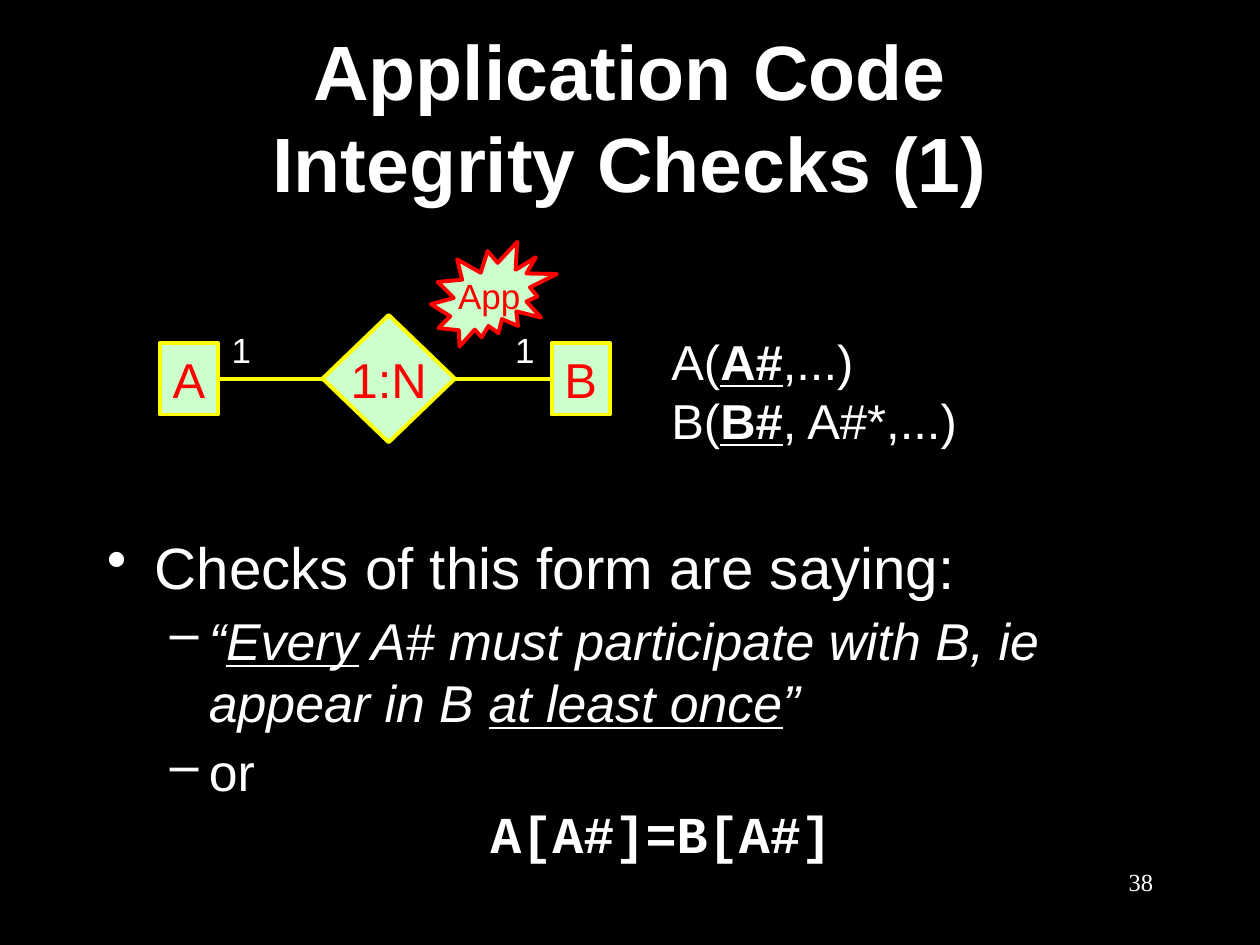
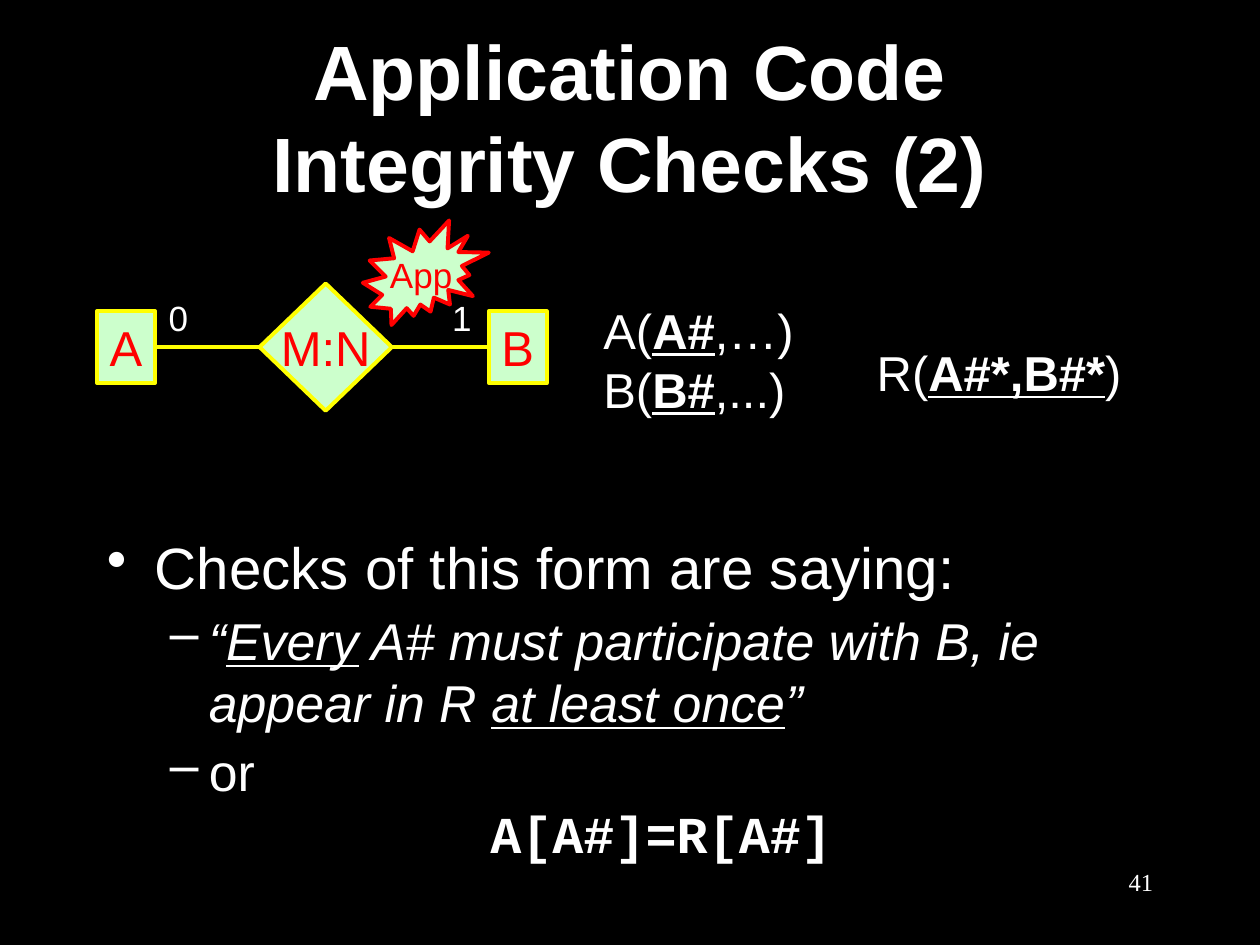
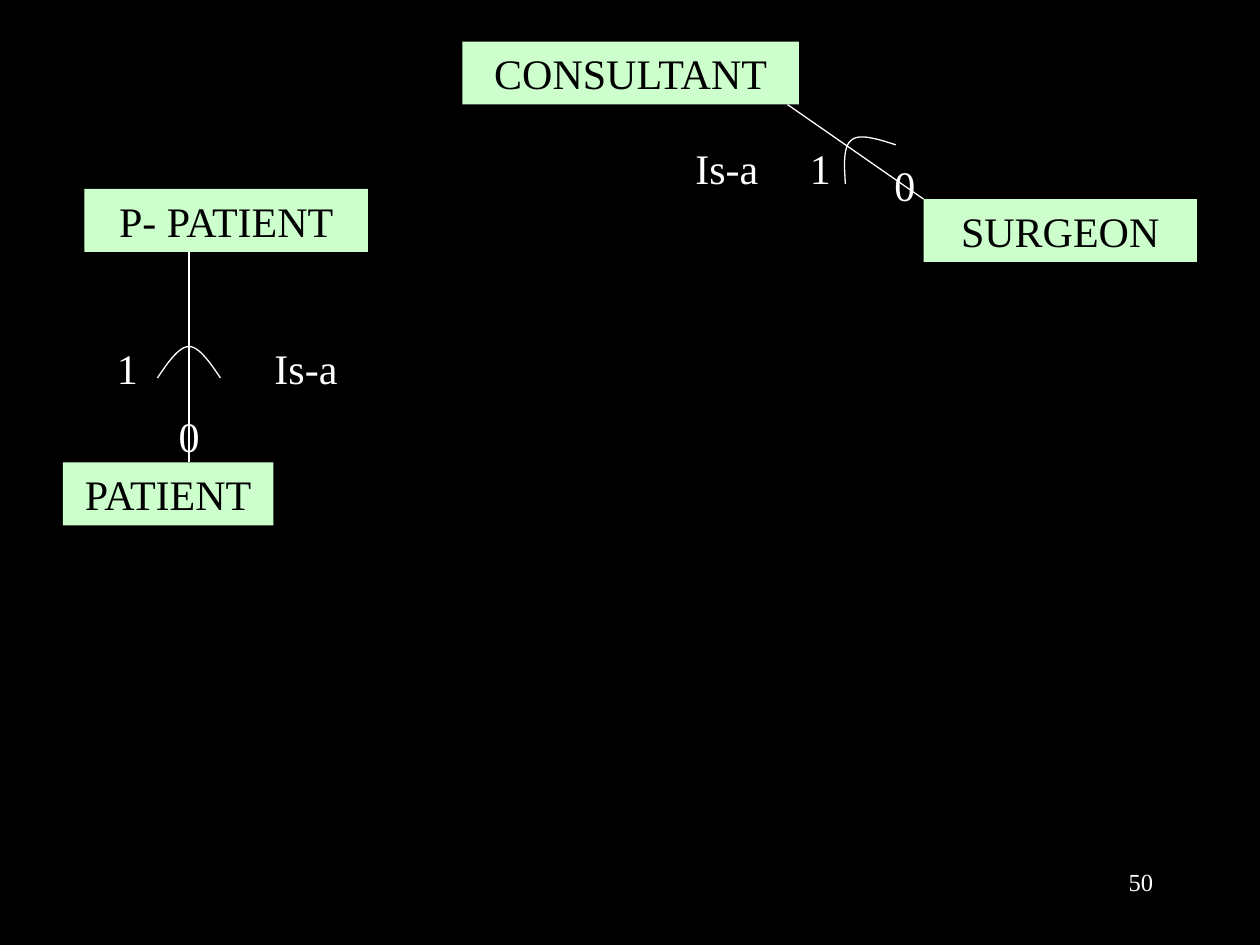
from pptx import Presentation
from pptx.dml.color import RGBColor
from pptx.enum.shapes import MSO_CONNECTOR, MSO_SHAPE
from pptx.enum.text import MSO_ANCHOR, PP_ALIGN
from pptx.oxml.ns import qn
from pptx.util import Inches, Pt
from lxml import etree

LEFT, MID, RIGHT = PP_ALIGN.LEFT, PP_ALIGN.CENTER, PP_ALIGN.RIGHT
TOP, CORE = MSO_ANCHOR.TOP, MSO_ANCHOR.MIDDLE
RECT, BOX = MSO_SHAPE.RECTANGLE, MSO_SHAPE.FLOWCHART_PROCESS
GEM, BURST = MSO_SHAPE.FLOWCHART_DECISION, MSO_SHAPE.EXPLOSION2
STRAIGHT = MSO_CONNECTOR.STRAIGHT
HUES = {"back": "000000", "text": "FFFFFF", "mint": "CCFFCC",
        "gold": "FFFF00", "red": "FF0000"}
INK = {name: RGBColor.from_string(code) for name, code in HUES.items()}
SANS, SERIF, MONO = "Arial", "Times New Roman", "Courier New"


def put(slide, at, lines, size, kind=None, hue="text", edge=None,
        font=SANS, align=MID, anchor=CORE, wrap=False):
    spot = [Inches(n) for n in at]
    if kind is None:
        shape = slide.shapes.add_textbox(*spot)
    else:
        shape = slide.shapes.add_shape(kind, *spot)
        shape.shadow.inherit = False
        shape.fill.solid()
        shape.fill.fore_color.rgb = INK["mint"]
        if edge:
            shape.line.color.rgb = INK[edge]
            shape.line.width = Pt(2.25)
        else:
            shape.line.fill.background()
    frame = shape.text_frame
    frame.word_wrap = wrap
    frame.vertical_anchor = anchor
    for i, line in enumerate(lines):
        para = frame.add_paragraph() if i else frame.paragraphs[0]
        first, *rest = line.split("_")
        para.text = first
        for part in rest:
            para.add_run().text = part
        para.alignment = align
        for j, run in enumerate(para.runs):
            run.font.name = font
            run.font.size = Pt(size)
            run.font.color.rgb = INK[hue]
            if rest and j % 2:
                run.font.bold = run.font.underline = True
    return shape


def link(slide, ends, hue, width):
    line = slide.shapes.add_connector(STRAIGHT, *[Inches(n) for n in ends])
    line.line.color.rgb = INK[hue]
    line.line.width = Pt(width)
    etree.SubElement(line._element.spPr, qn("a:effectLst"))
    return line


prs = Presentation()
prs.slide_width = Inches(10)
prs.slide_height = Inches(7.5)
slides = []
for number in ("38", "41", "50"):
    slide = prs.slides.add_slide(prs.slide_layouts[6])
    slide.background.fill.solid()
    slide.background.fill.fore_color.rgb = INK["back"]
    put(slide, (7.17, 6.83, 2.08, 0.5), [number], 14, font=SERIF,
        align=RIGHT, anchor=TOP, wrap=True)
    slides.append(slide)

checks = [
    ("1", "B", 1.27, 2.72, "1:N", "1", (3.42, 1.92),
     [((5.23, 2.58, 2.49, 1.04), ["A(_A#_,...)", "B(_B#_, A#*,...)"])]),
    ("2", "R", 0.77, 2.47, "M:N", "0", (2.88, 1.75),
     [((4.69, 2.33, 1.71, 1.04), ["A(_A#_,…)", "B(_B#_,...)"]),
      ((6.86, 2.67, 2.14, 0.57), ["R(_A#*,B#*_)"])]),
]
for slide, check in zip(slides, checks):
    order, table, x, y, ratio, least, burst, schemas = check
    title = put(slide, (0.75, 0.42, 8.5, 1),
                [f"Application Code\vIntegrity Checks ({order})"], 44, wrap=True)
    for run in title.text_frame.paragraphs[0].runs:
        run.font.bold = True

    body = put(slide, (0.75, 4.17, 8.5, 2.83), [
        "Checks of this form are saying:",
        f"“_Every_ A# must participate with B, ie appear in {table} _at least once_”",
        "or",
        f"A[A#]={table}[A#]",
    ], 29.6, align=LEFT, anchor=TOP, wrap=True)
    marks = ["•", "–", "–", None]
    for i, (para, mark) in enumerate(zip(body.text_frame.paragraphs, marks)):
        para.level = 1 if i else 0
        para.space_before = Pt(4)
        props = para._p.get_or_add_pPr()
        margin, indent = (0.81, -0.31) if i else (0.38, -0.38)
        props.set("marL", str(Inches(margin)))
        props.set("indent", str(Inches(indent)))
        if mark:
            tint = etree.SubElement(props, qn("a:buClr"))
            etree.SubElement(tint, qn("a:srgbClr"), val=HUES["text"])
            etree.SubElement(props, qn("a:buChar"), char=mark)
        else:
            para.alignment = MID
            para.line_spacing = 0.9
        for run in para.runs:
            run.font.bold = mark is None
            run.font.italic = i == 1
            if i == 0:
                run.font.size = Pt(33.3)
            if mark is None:
                run.font.name = MONO

    left, right = [put(slide, (x + gap, y, 0.46, 0.57), [name], 28, BOX, "red", "gold")
                   for name, gap in (("A", 0), ("B", 3.11))]
    gem = put(slide, (x + 1.29, y - 0.22, 1.05, 1.01), [ratio], 28, GEM, "red", "gold")
    frame = gem.text_frame
    frame.margin_left = frame.margin_right = frame.margin_top = frame.margin_bottom = 0
    for start, end in ((left, gem), (gem, right)):
        line = link(slide, (0, 0, 1, 1), "gold", 2.25)
        line.begin_connect(start, 3)
        line.end_connect(end, 1)
    for count, gap in ((least, 0.47), ("1", 2.72)):
        put(slide, (x + gap, y - 0.17, 0.35, 0.44), [count], 20)
    for at, lines in schemas:
        put(slide, at, lines, 28, align=LEFT)
    put(slide, (*burst, 1, 0.83), ["App"], 20, BURST, "red", "red")

slide = slides[2]
for name, x, y, width in (("CONSULTANT", 3.67, 0.33, 2.67),
                          ("PATIENT", 0.5, 3.67, 1.67),
                          ("SURGEON", 7.33, 1.58, 2.17),
                          ("P- PATIENT", 0.67, 1.5, 2.25)):
    put(slide, (x, y, width, 0.5), [name], 24, RECT, "back",
        font=SERIF, anchor=TOP, wrap=True)
for ends in ((1.5, 2, 1.5, 3.67), (6.25, 0.83, 7.33, 1.58)):
    link(slide, ends, "text", 0.75)
for text, x, y, width in (("Is-a", 2.08, 2.67, 0.75), ("1", 0.83, 2.67, 0.25),
                          ("0", 1.32, 3.21, 0.25), ("Is-a", 5.42, 1.08, 0.75),
                          ("1", 6.33, 1.08, 0.25), ("0", 7, 1.22, 0.25)):
    put(slide, (x, y, width, 0.5), [text], 24, font=SERIF,
        align=LEFT, anchor=TOP, wrap=True)

arcs = [
    [(1.25, 3), (1.33, 2.88), (1.42, 2.75), (1.5, 2.75),
     (1.58, 2.75), (1.67, 2.88), (1.75, 3)],
    [(6.71, 1.46), (6.7, 1.31), (6.69, 1.16), (6.76, 1.11),
     (6.82, 1.06), (6.96, 1.1), (7.11, 1.15)],
]
STEPS = 12
for arc in arcs:
    points = []
    for k in (0, 3):
        for step in range(1, STEPS + 1):
            t = step / STEPS
            u = 1 - t
            parts = (u ** 3, 3 * u * u * t, 3 * u * t * t, t ** 3)
            points.append([Inches(sum(w * p[axis] for w, p in zip(parts, arc[k:k + 4])))
                           for axis in (0, 1)])
    pen = slide.shapes.build_freeform(*[Inches(n) for n in arc[0]])
    pen.add_line_segments(points, close=False)
    curve = pen.convert_to_shape()
    curve.shadow.inherit = False
    curve.fill.background()
    curve.line.color.rgb = INK["text"]
    curve.line.width = Pt(0.75)

prs.save("out.pptx")
